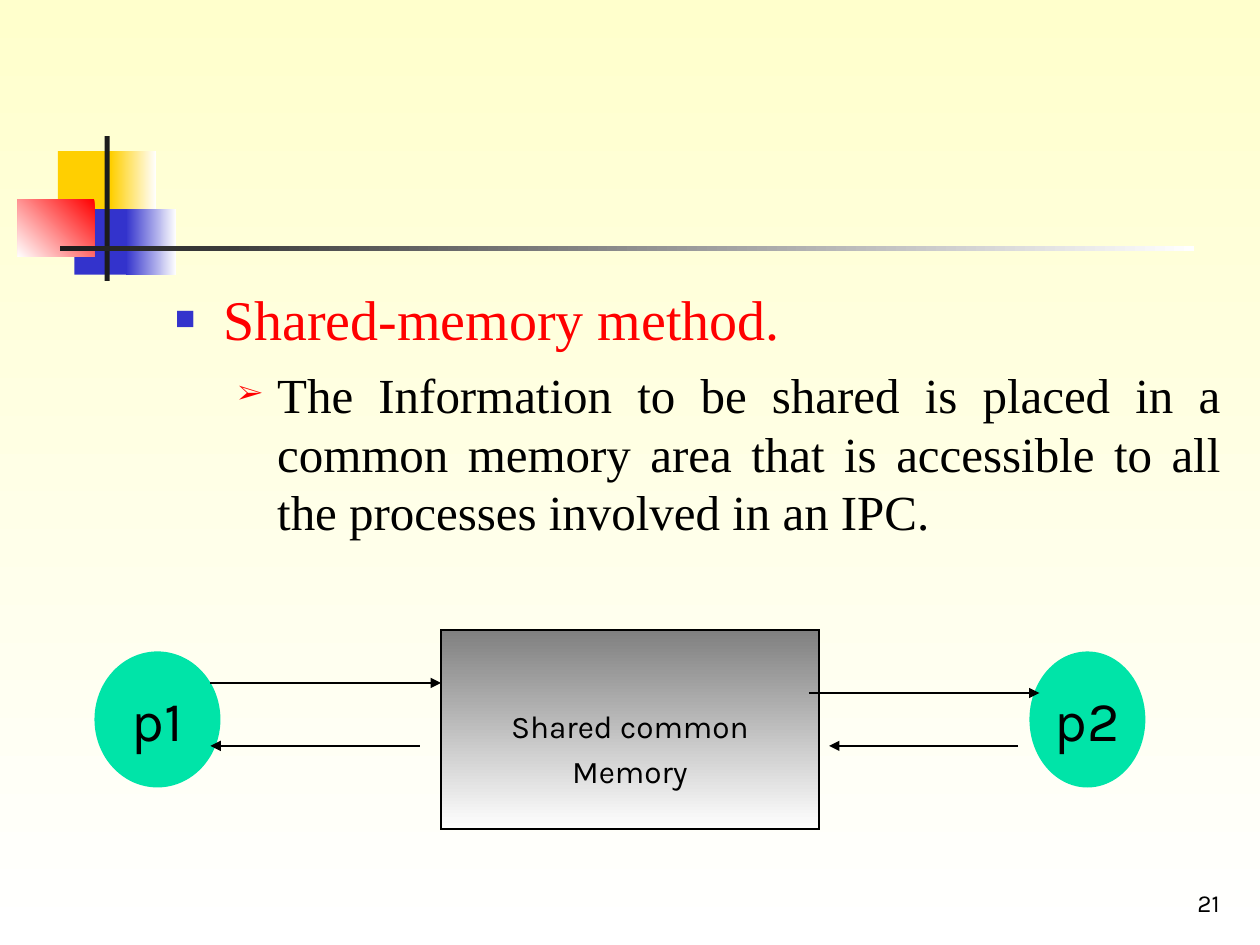
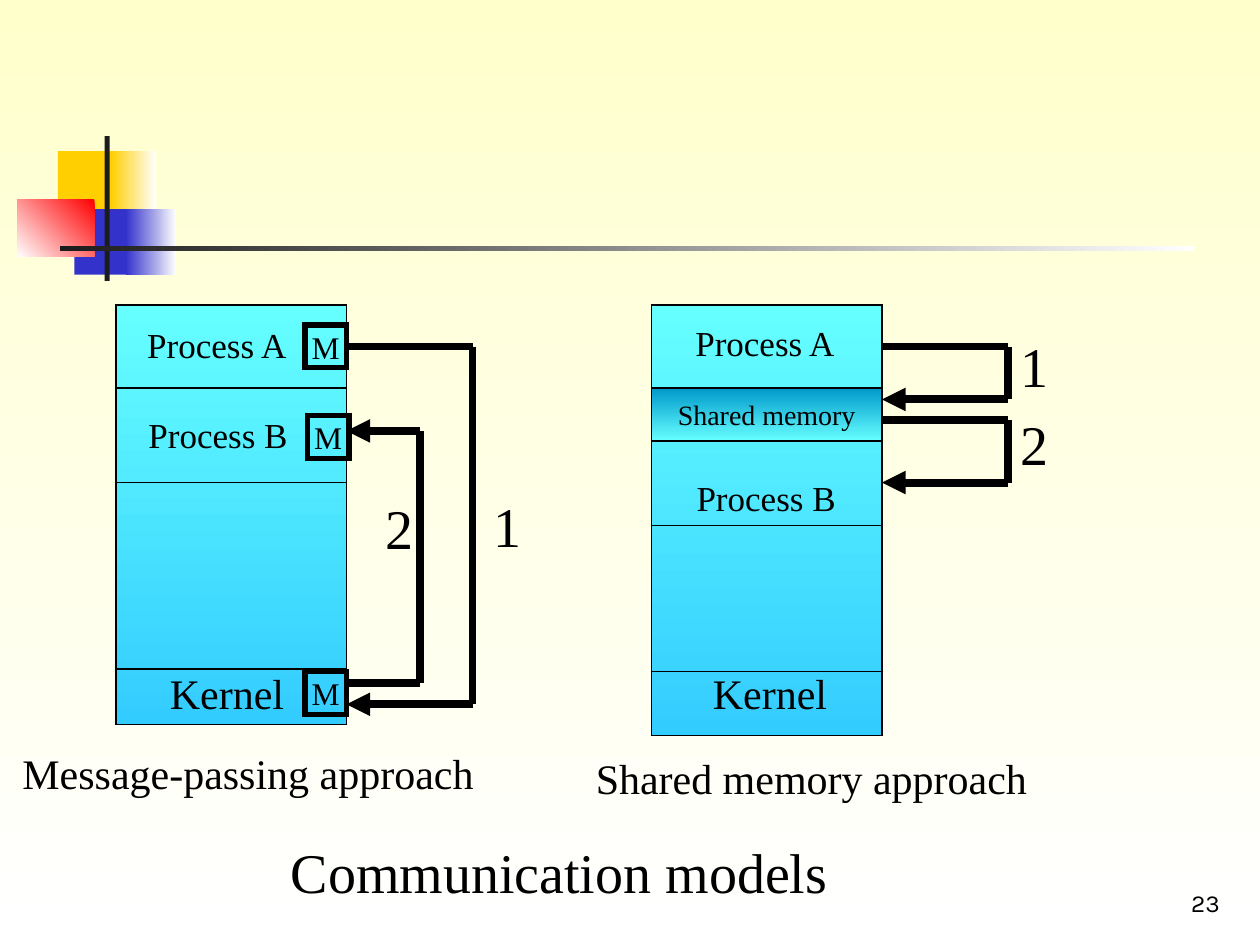
from dataclasses import dataclass
from itertools import pairwise
from typing import Any, Optional, Union

from lxml.etree import SubElement
from pptx import Presentation
from pptx.dml.color import RGBColor
from pptx.enum.shapes import MSO_CONNECTOR, MSO_SHAPE
from pptx.enum.text import MSO_ANCHOR, MSO_AUTO_SIZE, PP_ALIGN
from pptx.oxml.ns import qn
from pptx.util import Emu, Pt

# Shared style: 100 px to the inch
PX = 9144
SERIF, SANS = "Times New Roman", "Karla"
BLACK, WHITE, RED, BLUE = "000000", "FFFFFF", "FF0000", "3333CC"
YELLOW, CHARCOAL, GREEN = "FFCF01", "1C1C1C", "00E4A8"


@dataclass(frozen=True)
class Gradient:
    start: str
    end: str
    angle: int = 90  # clockwise degrees


Paint = Union[str, Gradient, None]


@dataclass(frozen=True)
class Box:
    left: int
    top: int
    width: int
    height: int
    paint: Paint = None


@dataclass(frozen=True)
class Label:
    text: str
    left: int
    top: int
    width: int
    height: int
    size: int


@dataclass(frozen=True)
class Bullet:
    text: str
    mark: str
    mark_color: str
    mark_percent: int
    margin: int
    hanging: int
    size: int
    color: str
    space_before: int
    align: PP_ALIGN


def px(length: int) -> Emu:
    return Emu(length * PX)


def rgb(color: str) -> RGBColor:
    return RGBColor.from_string(color)


def apply_paint(fill: Any, paint: Paint) -> None:
    if paint is None:
        fill.background()
    elif isinstance(paint, Gradient):
        fill.gradient()
        fill.gradient_angle = 360 - paint.angle
        for stop, color in zip(fill.gradient_stops, (paint.start, paint.end)):
            stop.color.rgb = rgb(color)
    else:
        fill.solid()
        fill.fore_color.rgb = rgb(paint)


def place(shape: Any, left: int, top: int, width: int, height: int) -> None:
    shape.left, shape.top = px(left), px(top)
    shape.width, shape.height = px(width), px(height)


def style_paragraph(paragraph: Any, size: int, font: str, color: str,
                    align: PP_ALIGN, space_before: float) -> None:
    paragraph.alignment = align
    paragraph.space_before = Pt(space_before)
    paragraph.font.size = Pt(size)
    paragraph.font.name = font
    paragraph.font.color.rgb = rgb(color)


def write_text(shape: Any, text: str, size: int, font: str = SERIF,
               color: str = BLACK, align: PP_ALIGN = PP_ALIGN.LEFT,
               anchor: MSO_ANCHOR = MSO_ANCHOR.TOP, wrap: bool = True,
               gap: float = 0) -> None:
    frame = shape.text_frame
    frame.text = text
    frame.word_wrap = wrap
    frame.vertical_anchor = anchor
    frame.auto_size = MSO_AUTO_SIZE.NONE
    for index, paragraph in enumerate(frame.paragraphs):
        style_paragraph(paragraph, size, font, color, align, gap if index else 0)


def add_box(slide: Any, box: Box, kind: MSO_SHAPE = MSO_SHAPE.RECTANGLE,
            line_width: float = 0, text: str = "", **text_format: Any) -> Any:
    shape = slide.shapes.add_shape(kind, px(box.left), px(box.top),
                                   px(box.width), px(box.height))
    shape.shadow.inherit = False
    apply_paint(shape.fill, box.paint)
    if line_width:
        shape.line.color.rgb = rgb(BLACK)
        shape.line.width = Pt(line_width)
        outline = shape.element.spPr.find(qn("a:ln"))
        SubElement(outline, qn("a:miter"), lim="800000")
    else:
        shape.line.fill.background()
    if text:
        write_text(shape, text, align=PP_ALIGN.CENTER,
                   anchor=MSO_ANCHOR.MIDDLE, wrap=False, **text_format)
    return shape


def add_label(slide: Any, label: Label, **text_format: Any) -> None:
    shape = slide.shapes.add_textbox(px(label.left), px(label.top),
                                     px(label.width), px(label.height))
    write_text(shape, label.text, label.size, **text_format)


def add_line(slide: Any, start: tuple[int, int], end: tuple[int, int],
             width: float = 0.75, arrow: bool = False) -> Any:
    connector = slide.shapes.add_connector(
        MSO_CONNECTOR.STRAIGHT, px(start[0]), px(start[1]), px(end[0]), px(end[1]))
    connector.line.color.rgb = rgb(BLACK)
    connector.line.width = Pt(width)
    properties = connector.element.spPr
    if arrow:
        SubElement(properties.find(qn("a:ln")), qn("a:tailEnd"), type="triangle")
    SubElement(properties, qn("a:effectLst"))
    return connector


def add_route(slide: Any, points: list[tuple[int, int]],
              source: Optional[Any] = None) -> None:
    """Draw a thick angular path that ends in an arrowhead."""
    segments = list(pairwise(points))
    for index, (start, end) in enumerate(segments):
        connector = add_line(slide, start, end, 4.5, arrow=index == len(segments) - 1)
        if source is not None and index == 0:
            connector.begin_connect(source, 3)


def add_bullet(paragraph: Any, bullet: Bullet, level: int) -> None:
    paragraph.text = bullet.text
    paragraph.level = level
    properties = paragraph._p.get_or_add_pPr()
    properties.set("marL", str(px(bullet.margin)))
    properties.set("indent", str(px(-bullet.hanging)))
    mark_color = SubElement(properties, qn("a:buClr"))
    SubElement(mark_color, qn("a:srgbClr"), val=bullet.mark_color)
    SubElement(properties, qn("a:buSzPct"), val=str(bullet.mark_percent * 1000))
    SubElement(properties, qn("a:buFont"), typeface=SERIF)
    SubElement(properties, qn("a:buChar"), char=bullet.mark)
    style_paragraph(paragraph, bullet.size, SERIF, bullet.color,
                    bullet.align, bullet.space_before)


# Ornament of squares and bars
ORNAMENT = [
    Box(46, 120, 48, 52, YELLOW),
    Box(88, 120, 36, 52, Gradient(WHITE, YELLOW, 180)),
    Box(59, 166, 46, 52, BLUE),
    Box(100, 166, 40, 52, Gradient(WHITE, BLUE, 180)),
    Box(14, 158, 61, 46, Gradient(RED, WHITE, 135)),
    Box(83, 108, 4, 115, CHARCOAL),
    Box(48, 195, 900, 4, Gradient(WHITE, CHARCOAL, 180)),
]


def add_slide(presentation: Any, layout: int, number: int) -> Any:
    slide = presentation.slides.add_slide(presentation.slide_layouts[layout])
    for box in ORNAMENT:
        add_box(slide, box)
    add_label(slide, Label(str(number), 770, 683, 208, 50, 14), font=SANS,
              align=PP_ALIGN.RIGHT, anchor=MSO_ANCHOR.BOTTOM)
    return slide


def build_shared_memory(presentation: Any) -> None:
    slide = add_slide(presentation, 1, 21)
    title = slide.shapes.title.element
    title.getparent().remove(title)

    # Bulleted text
    body = slide.placeholders[1]
    place(body, 129, 221, 850, 450)
    frame = body.text_frame
    frame.auto_size = MSO_AUTO_SIZE.NONE
    bullets = [
        Bullet("Shared-memory method.", "■", BLUE, 60, 38, 38, 32, RED, 0, PP_ALIGN.LEFT),
        Bullet("The Information to be shared is placed in a common memory area "
               "that is accessible to all the processes involved in an IPC.",
               "➢", RED, 55, 81, 31, 28, BLACK, 7, PP_ALIGN.JUSTIFY),
    ]
    for level, bullet in enumerate(bullets):
        paragraph = frame.add_paragraph() if level else frame.paragraphs[0]
        add_bullet(paragraph, bullet, level)

    # Processes and the memory between them
    for name, left, width in (("p1", 75, 100), ("p2", 817, 92)):
        add_box(slide, Box(left, 517, width, 108, GREEN), MSO_SHAPE.OVAL,
                text=name, size=32, font=SANS)
    memory = add_box(slide, Box(350, 500, 300, 158, Gradient("808080", WHITE)),
                     line_width=0.75, text="Shared common\nMemory",
                     size=18, font=SANS, gap=4.5)
    memory.text_frame.margin_top = px(35)
    for start, end, height in ((167, 350, 542), (642, 825, 550),
                               (333, 167, 592), (808, 658, 592)):
        add_line(slide, (start, height), (end, height), arrow=True)


def build_communication_models(presentation: Any) -> None:
    slide = add_slide(presentation, 5, 23)
    place(slide.shapes.title, 211, 660, 466, 64)
    write_text(slide.shapes.title, "Communication models", 32, align=PP_ALIGN.CENTER)

    # Memory columns with their dividers
    column_width = 183
    for left, height, dividers in ((92, 333, (308, 383, 531)),
                                   (517, 342, (417, 533))):
        add_box(slide, Box(left, 242, column_width, height, Gradient("66FFFF", "33CCFF")),
                line_width=0.75)
        for divider in dividers:
            add_line(slide, (left, divider), (left + column_width, divider))
    add_box(slide, Box(517, 308, column_width, 42, Gradient("0099CC", "66FFFF")),
            line_width=0.75, text="Shared memory", size=16)

    # Message boxes
    messages = [add_box(slide, Box(left, top, 33, 34), line_width=3, text="M", size=18)
                for left, top in ((242, 258), (244, 330), (242, 533))]

    # Routes of the messages
    add_route(slide, [(275, 275), (375, 275), (375, 559), (275, 559)], messages[0])
    add_route(slide, [(275, 542), (333, 542), (333, 342), (275, 342)])
    for top, bottom in ((275, 317), (333, 383)):
        add_route(slide, [(700, top), (800, top), (800, bottom), (700, bottom)])

    # Labels
    for label in (
        Label("Process A", 107, 252, 140, 44, 20),
        Label("Process A", 542, 250, 140, 44, 20),
        Label("Process B", 108, 323, 140, 44, 20),
        Label("Process B", 543, 373, 140, 44, 20),
        Label("Kernel", 125, 525, 120, 50, 24),
        Label("Kernel", 556, 525, 120, 50, 24),
        Label("Message-passing approach", 8, 588, 390, 50, 24),
        Label("Shared memory approach", 463, 592, 375, 50, 24),
        Label("1", 382, 385, 46, 64, 32),
        Label("2", 296, 387, 46, 64, 32),
        Label("1", 800, 258, 46, 64, 32),
        Label("2", 800, 320, 46, 64, 32),
    ):
        add_label(slide, label)


def main() -> None:
    presentation = Presentation()
    presentation.slide_width, presentation.slide_height = px(1000), px(750)
    apply_paint(presentation.slide_master.background.fill, Gradient("FFFFCC", WHITE))
    build_shared_memory(presentation)
    build_communication_models(presentation)
    presentation.save("out.pptx")


if __name__ == "__main__":
    main()
